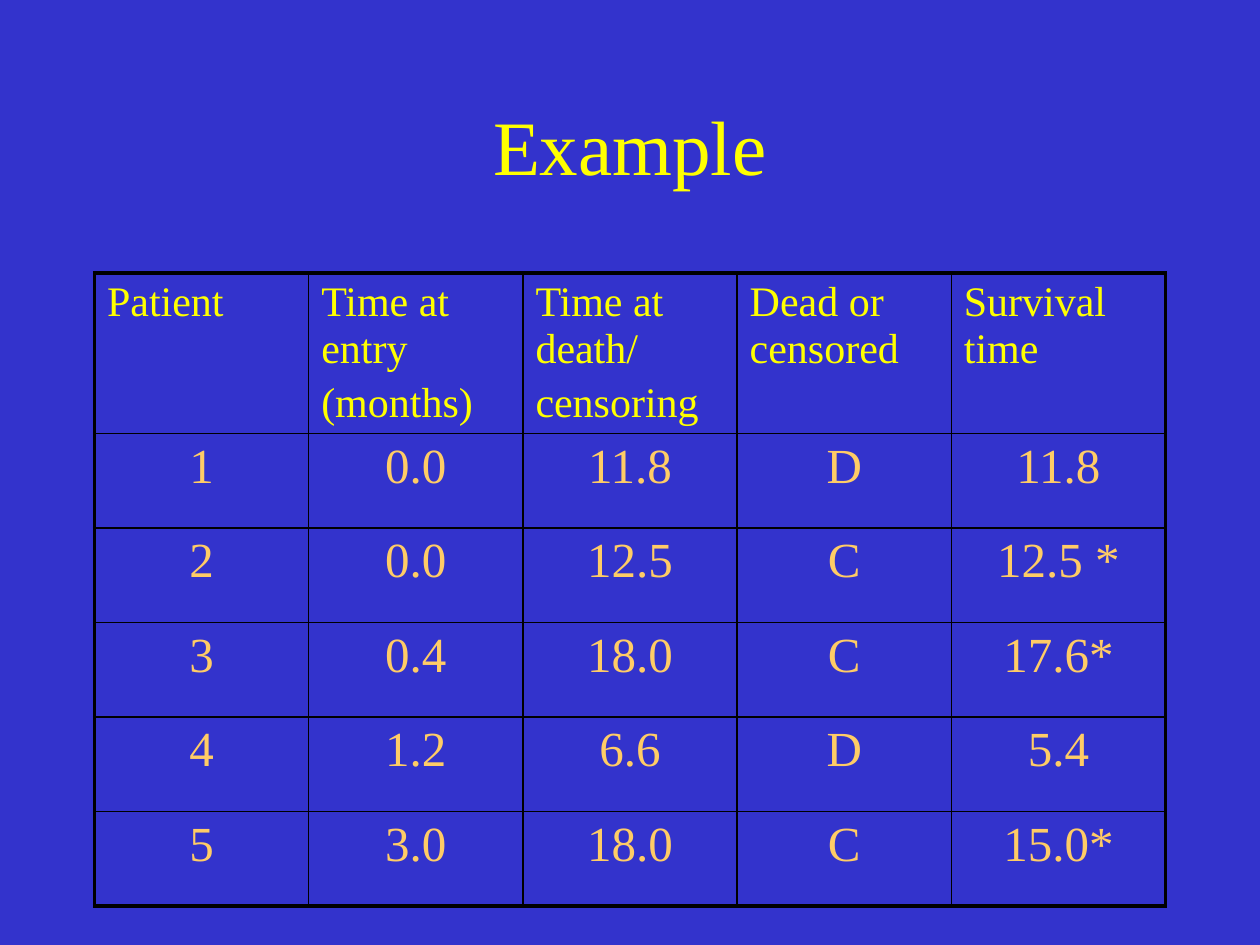
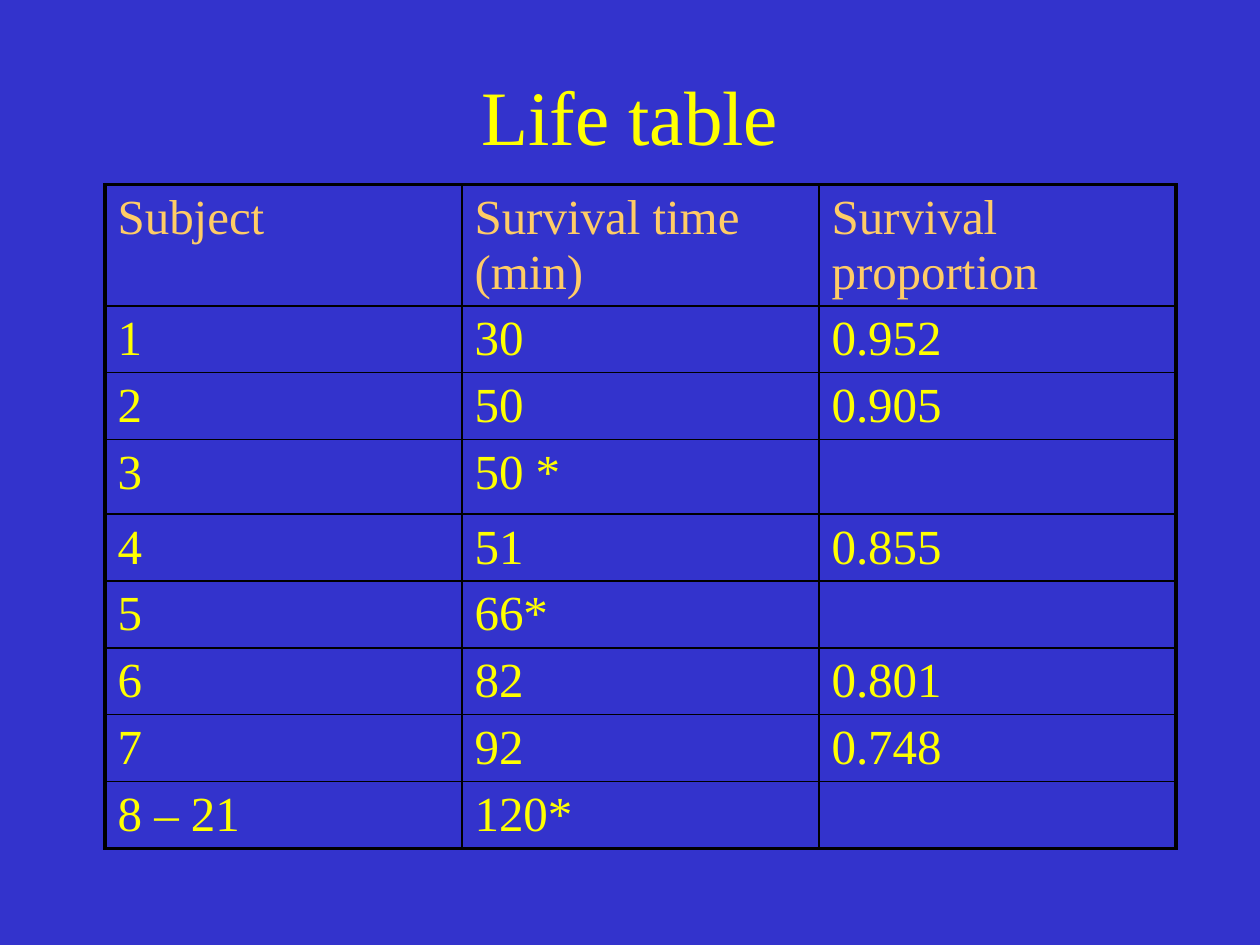
from lxml.etree import SubElement
from pptx import Presentation
from pptx.dml.color import RGBColor
from pptx.enum.text import MSO_ANCHOR, MSO_AUTO_SIZE, PP_ALIGN
from pptx.oxml import parse_xml
from pptx.oxml.ns import nsdecls, qn
from pptx.util import Inches, Pt

COLS = 120
BLUE, YELLOW, GOLD, BLACK = "3333CC", "FFFF00", "FFCC66", "000000"
FONT = "Times New Roman"
THIN, THICK = 1, 2.25

deck = Presentation()
deck.slide_width, deck.slide_height = Inches(10), Inches(7.5)
UNIT = deck.slide_width / COLS


def grid(count):
    return round(count * UNIT)


def hue(code):
    return RGBColor.from_string(code)


def apply(item, values):
    for name, value in values.items():
        setattr(item, name, value)


def style(size, code):
    return {"name": FONT, "size": Pt(size), "bold": False, "code": code}


def write(frame, text, look, align):
    frame.text = text
    for para in frame.paragraphs:
        para.alignment = align
        for run in para.runs:
            apply(run.font, {k: v for k, v in look.items() if k != "code"})
            run.font.color.rgb = hue(look["code"])


def add_title(slide, text, box):
    title = slide.shapes.title
    apply(title, dict(zip(("left", "top", "width", "height"), map(grid, box))))
    apply(title.text_frame, {"vertical_anchor": MSO_ANCHOR.MIDDLE,
                             "auto_size": MSO_AUTO_SIZE.NONE, "word_wrap": True})
    write(title.text_frame, text, style(44, YELLOW), PP_ALIGN.CENTER)


def space(frame):
    for para in frame.paragraphs:
        gap = SubElement(para._p.get_or_add_pPr(), qn("a:spcBef"))
        SubElement(gap, qn("a:spcPct")).set("val", "20000")


def edge(cell, widths):
    props = cell._tc.get_or_add_tcPr()
    for spot, (side, width) in enumerate(widths.items()):
        props.insert(spot, parse_xml(
            f'<a:ln{side} {nsdecls("a")} w="{Pt(width)}"><a:solidFill>'
            f'<a:srgbClr val="{BLACK}"/></a:solidFill></a:ln{side}>'))


def add_grid(slide, rows, box, tall, head, body, align):
    high, wide = len(rows), len(rows[0])
    table = slide.shapes.add_table(high, wide, *map(grid, box)).table
    apply(table, {"first_row": False, "horz_banding": False})
    for r, row in enumerate(rows):
        table.rows[r].height = grid(tall[r])
        for c, text in enumerate(row):
            cell = table.cell(r, c)
            cell.fill.background()
            edge(cell, {"L": THIN if c else THICK,
                        "R": THIN if c < wide - 1 else THICK,
                        "T": THIN if r else THICK,
                        "B": THIN if r < high - 1 else THICK})
            if text:
                write(cell.text_frame, text, body if r else head,
                      align if r else PP_ALIGN.LEFT)
                space(cell.text_frame)


def add_slide(name, title, rows, **spec_values):
    slide = deck.slides.add_slide(deck.slide_layouts.get_by_name("Title Only"))
    add_title(slide, name, title)
    add_grid(slide, rows, **spec_values)


fill = deck.slide_master.background.fill
fill.solid()
fill.fore_color.rgb = hue(BLUE)

cases = [
    ("Patient", "Time at entry\n(months)", "Time at death/\ncensoring",
     "Dead or censored", "Survival time"),
    ("1", "0.0", "11.8", "D", "11.8"),
    ("2", "0.0", "12.5", "C", "12.5 *"),
    ("3", "0.4", "18.0", "C", "17.6*"),
    ("4", "1.2", "6.6", "D", "5.4"),
    ("5", "3.0", "18.0", "C", "15.0*"),
]
life = [
    ("Subject", "Survival time (min)", "Survival proportion"),
    ("1", "30", "0.952"),
    ("2", "50", "0.905"),
    ("3", "50 *", ""),
    ("4", "51", "0.855"),
    ("5", "66*", ""),
    ("6", "82", "0.801"),
    ("7", "92", "0.748"),
    ("8 – 21", "120*", ""),
]

add_slide("Example", (9, 8, 102, 11.5), cases,
          box=(9, 26, 102, 61.5), tall=[9] * 6,
          head=style(24, YELLOW), body=style(28, GOLD), align=PP_ALIGN.CENTER)
add_slide("Life table", (9, 3.4, 102, 15), life,
          box=(10, 17.6, 102, 67), tall=[5.9] * 3 + [7.1] + [5.9] * 5,
          head=style(28, GOLD), body=style(28, YELLOW), align=PP_ALIGN.LEFT)

deck.save("out.pptx")
